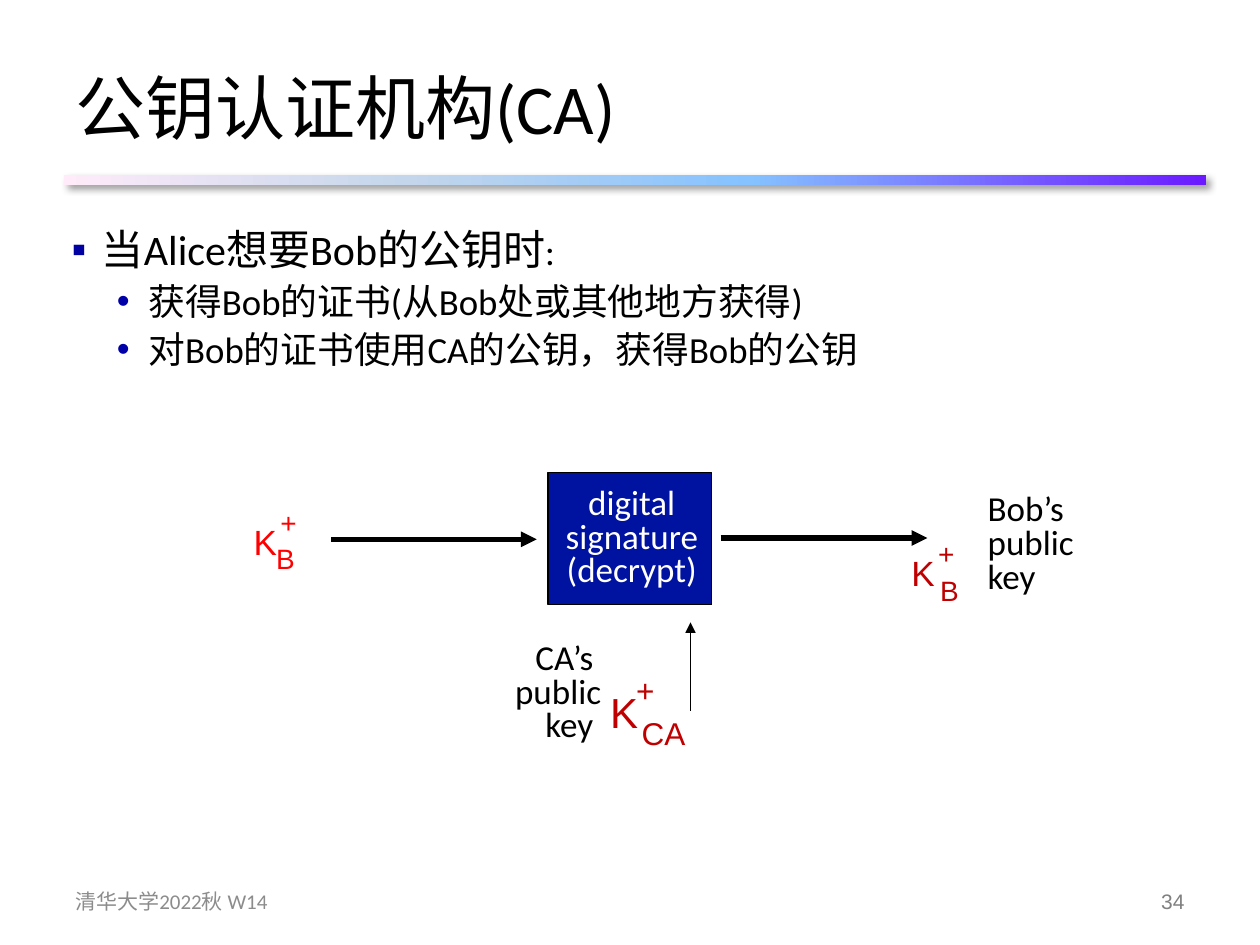
from dataclasses import dataclass
from lxml import etree
from pptx import Presentation
from pptx.dml.color import RGBColor
from pptx.enum import shapes, text
from pptx.oxml.ns import qn
from pptx.util import Inches, Pt

LEFT, MID, RIGHT = text.PP_ALIGN.LEFT, text.PP_ALIGN.CENTER, text.PP_ALIGN.RIGHT


@dataclass(frozen=True)
class Theme:
    sans: str = "Calibri"
    math: str = "Arial"
    ink: str = "000000"
    paper: str = "FFFFFF"
    box: str = "0012A0"
    red: str = "FF0000"
    dark: str = "C00000"
    foot: str = "8C8C8C"
    page: str = "808080"
    mark: str = "0000A3"
    dot: str = "0000A8"
    fade: tuple = ((0, "FFEBFA"), (30, "C4D6EB"), (60, "85C2FF"), (100, "6B19FF"))
    title: int = 40
    head: int = 24
    item: int = 21
    label: int = 20
    sign: int = 16
    caption: int = 18
    small: int = 12


T = Theme()


def node(root, tag, **attrs):
    return etree.SubElement(root, qn(tag), {k: str(v) for k, v in attrs.items()})


def place(shape, box):
    shape.left, shape.top, shape.width, shape.height = map(Inches, box)


def style(para, size, color, face=T.sans, align=LEFT, lead=None):
    para.alignment = align
    if lead:
        para.line_spacing = lead
    font = para.font
    font.size, font.name = Pt(size), face
    font.color.rgb = RGBColor.from_string(color)


def label(slide, box, lines, size, color, face=T.sans, align=LEFT,
          lead=None, wrap=True, grow=True, anchor=text.MSO_ANCHOR.TOP):
    shape = slide.shapes.add_textbox(*map(Inches, box))
    frame = shape.text_frame
    frame.word_wrap = wrap
    frame.vertical_anchor = anchor
    if grow:
        frame.auto_size = text.MSO_AUTO_SIZE.SHAPE_TO_FIT_TEXT
    frame.text = "\n".join(lines)
    for para in frame.paragraphs:
        style(para, size, color, face, align, lead)


def block(slide, box, color):
    shape = slide.shapes.add_shape(shapes.MSO_SHAPE.RECTANGLE, *map(Inches, box))
    shape.shadow.inherit = False
    shape.fill.solid()
    shape.fill.fore_color.rgb = RGBColor.from_string(color)
    return shape


def arrow(slide, start, end, width):
    line = slide.shapes.add_connector(
        shapes.MSO_CONNECTOR.STRAIGHT, *map(Inches, start + end))
    line.line.width = Pt(width)
    line.line.color.rgb = RGBColor.from_string(T.ink)
    props = line._element.spPr
    node(props.find(qn("a:ln")), "a:tailEnd", type="triangle")
    node(props, "a:effectLst")


def header(slide, box):
    title = slide.shapes.title
    place(title, box)
    frame = title.text_frame
    frame.text = "公钥认证机构(CA)"
    frame.vertical_anchor = text.MSO_ANCHOR.MIDDLE
    style(frame.paragraphs[0], T.title, T.ink)


def rule(slide, box):
    shape = block(slide, box, T.paper)
    shape.line.fill.background()
    shape.fill.gradient()
    shape.fill.gradient_angle = 0
    props = shape._element.spPr
    stops = props.find(qn("a:gradFill")).find(qn("a:gsLst"))
    for stop in list(stops):
        stops.remove(stop)
    for pos, color in T.fade:
        node(node(stops, "a:gs", pos=pos * 1000), "a:srgbClr", val=color)
    shade = node(props.find(qn("a:effectLst")), "a:outerShdw", blurRad=Pt(4),
                 dist=Pt(3), dir=45 * 60000, algn="tl", rotWithShape=0)
    node(node(shade, "a:srgbClr", val=T.ink), "a:alpha", val=40000)


def bullet(para, level, left, hang, sign, color):
    para.level = level
    props = para._p.get_or_add_pPr()
    props.set("marL", str(Inches(left)))
    props.set("indent", str(Inches(-hang)))
    node(node(props, "a:buClr"), "a:srgbClr", val=color)
    node(props, "a:buFont", typeface=T.math)
    node(props, "a:buChar", char=sign)


def body(slide, box):
    frame = slide.shapes.add_textbox(*map(Inches, box)).text_frame
    frame.word_wrap = True
    head = frame.paragraphs[0]
    bullet(head, 0, 0.39, 0.24, "▪", T.mark)
    head.add_run().text = "当Alice想要Bob的公钥时"
    colon = head.add_run()
    colon.text = ":"
    colon.font.size = Pt(T.item)
    style(head, T.head, T.ink, lead=0.9)
    for line in ("获得Bob的证书(从Bob处或其他地方获得)",
                 "对Bob的证书使用CA的公钥，获得Bob的公钥"):
        para = frame.add_paragraph()
        para.text = line
        bullet(para, 1, 0.76, 0.25, "•", T.dot)
        para.space_before = Pt(5)
        style(para, T.item, T.ink, lead=0.9)


def key(slide, box, owner, shift, size, sign, color):
    x, y, w, h = box
    dx, dy, wide, tall = shift
    parts = (("K ", box, size),
             (owner, (x + dx, y + dy, wide, tall), sign),
             ("+", (x + 0.21, y - 0.12, 0.34, tall), sign))
    for word, area, points in parts:
        label(slide, area, [word], points, color, T.math, MID, wrap=False)


def signer(slide, box):
    x, y, w, h = box
    shape = block(slide, box, T.box)
    shape.line.width = Pt(0.75)
    shape.line.color.rgb = RGBColor.from_string(T.ink)
    label(slide, (x + 0.03, y + 0.08, w - 0.03, 0.92),
          ["digital", "signature", "(decrypt)"], T.label, T.paper,
          align=MID, lead=0.8, wrap=False)


def flow(slide, box):
    x, y, w, h = box
    key(slide, (x, y + 0.33, 0.47, 0.44), "B", (0.18, 0.17, 0.35, 0.37),
        T.label, T.sign, T.red)
    arrow(slide, (x + 0.72, y + 0.53), (x + 2.35, y + 0.53), 3)
    signer(slide, (x + 2.44, y, 1.3, 1.05))
    arrow(slide, (x + 3.81, y + 0.52), (x + 5.45, y + 0.52), 3)
    key(slide, (x + 5.22, y + 0.58, 0.47, 0.44), "B", (0.23, 0.17, 0.35, 0.37),
        T.label, T.sign, T.dark)
    label(slide, (x + w - 1.05, y + 0.13, 1.05, 0.92),
          ["Bob’s", "public", "key"], T.label, T.ink, lead=0.8)
    label(slide, (x + 1.91, y + 1.31, 1.05, 0.92),
          ["CA’s ", "public", "key "], T.label, T.ink, align=RIGHT, lead=0.8)
    key(slide, (x + 2.83, y + 1.65, 0.52, 0.51), "CA", (0.25, 0.22, 0.55, 0.4),
        T.head, T.caption, T.dark)
    arrow(slide, (x + 3.57, y + 1.89), (x + 3.57, y + 1.19), 0.75)


def footer(slide, box):
    x, y, w, h = box
    wide = 2.33
    middle = text.MSO_ANCHOR.MIDDLE
    label(slide, (x, y, wide, h), ["清华大学2022秋 W14"], T.small, T.foot,
          grow=False, anchor=middle)
    label(slide, (x + w - wide, y, wide, h), ["34"], T.small, T.page, T.math,
          RIGHT, grow=False, anchor=middle)


def main():
    deck = Presentation()
    deck.slide_width, deck.slide_height = Inches(10), Inches(7.5)
    slide = deck.slides.add_slide(deck.slide_layouts[5])
    rule(slide, (0.51, 1.39, 9.06, 0.08))
    footer(slide, (0.5, 6.95, 9, 0.4))
    header(slide, (0.5, 0.3, 9, 1.09))
    body(slide, (0.32, 1.77, 9.18, 1.35))
    flow(slide, (1.91, 3.75, 6.88, 2.27))
    deck.save("out.pptx")


if __name__ == "__main__":
    main()
